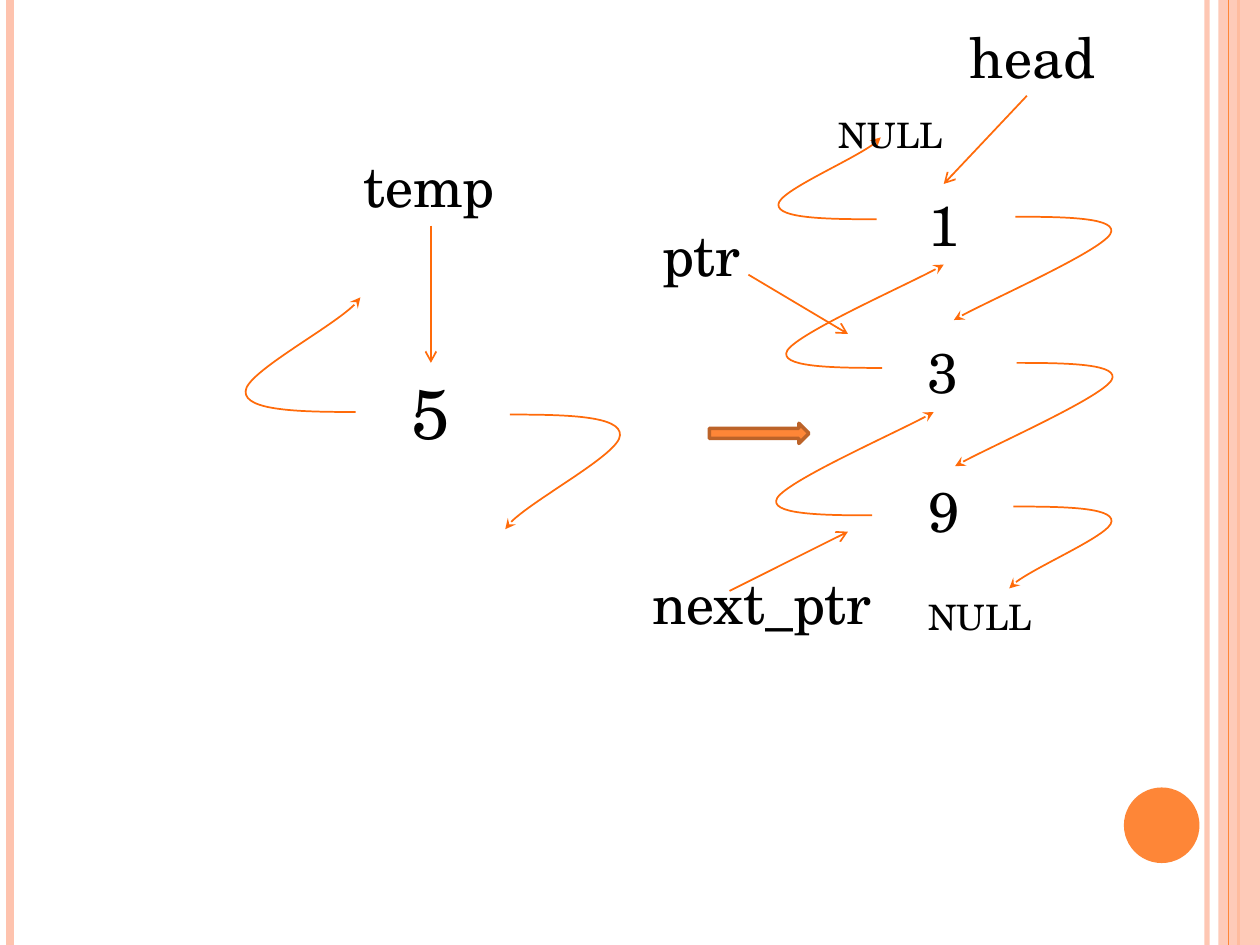
from pptx import Presentation
from pptx import util as u
from pptx.dml.color import RGBColor
from pptx.enum import shapes, text
from pptx.oxml import ns
from lxml import etree

# All lengths are cells of a grid of 100 columns by 75 rows.
COLS, ROWS = 100, 75
CELL = u.Inches(10) // COLS
FONT = "TeX Gyre Schola"
HEX = {"ink": "000000", "link": "FF6B0A", "main": "FE8637",
       "edge": "BC6329", "pale": "FEC3AE"}

# column, colour, width in points, opacity in percent
RAILS = [(95.8, "pale", 3, 93), (0.8, "pale", 4.5, 100), (98.3, "main", 1.5, 100)]
THIN = (97.5, "main", 0.75, 100)
BAND = (96.7, 0, 3.3, ROWS)
DOT = (89.2, 62.5, 6, 6)
BLOCK = (56.3, 33.6, 7.9, 1.6)

# words, box, size in points, wrap
LABELS = [
    ("temp", (27.9, 11.5, 12.6, 6.4), 32, False),
    ("head", (76, 1.3, 13.3, 6.4), 32, True),
    ("5", (31.7, 28.8, 5.1, 7.7), 40, False),
    ("1", (72.7, 14.6, 4.5, 6.4), 32, False),
    ("3", (72.6, 26.3, 4.5, 6.4), 32, False),
    ("9", (72.7, 37.3, 4.5, 6.4), 32, False),
    ("NULL", (65.6, 8.5, 11.8, 3.1), 20, True),
    ("NULL", (72.7, 46.8, 11.8, 3.1), 20, True),
    ("ptr", (51.6, 17, 8.3, 6.4), 32, False),
    ("next_ptr", (50.8, 44.6, 19.7, 6.4), 32, False),
]

# start and end of each pointer
ARROWS = [((34.2, 17.9), (34.2, 28.8)), ((81.5, 7.6), (74.9, 14.6)),
          ((59.4, 21.8), (67.3, 26.5)), ((57.9, 46.9), (67.3, 42.2))]

# Start point, then control and end points of two curves, as shares of the box
BENDS = {
    "hook": [(.04, 0), (.52, 0), (1, .01), (.99, .18), (.99, .34), (.09, .82), (0, 1)],
    "wide": [(.37, 0), (.68, 0), (1, .01), (.94, .17), (.87, .34), (.13, .87), (0, 1)],
}
# bend, box, turned half round
LINKS = [
    ("hook", (40.1, 32.9, 9.2, 9.1), False),
    ("hook", (19.4, 23.6, 9.2, 9.1), True),
    ("hook", (80.1, 40.2, 8.2, 6.5), False),
    ("hook", (61.7, 10.9, 8.2, 6.5), True),
    ("wide", (75.7, 17.2, 13.2, 8.2), False),
    ("wide", (75.8, 28.8, 13.2, 8.2), False),
    ("wide", (61.7, 21, 13.2, 8.2), True),
    ("wide", (60.9, 32.7, 13.2, 8.2), True),
]


def cells(vals):
    return [round(v * CELL) for v in vals]


def tint(form, name, alpha=100):
    form.solid()
    form.fore_color.rgb = RGBColor.from_string(HEX[name])
    if alpha < 100:
        clr = form._xPr.find(".//" + ns.qn("a:srgbClr"))
        etree.SubElement(clr, ns.qn("a:alpha"), val=str(alpha * 1000))


def stroke(line, name, width, alpha=100, tip=None):
    tint(line.fill, name, alpha)
    line.width = u.Pt(width)
    if tip:
        etree.SubElement(line._get_or_add_ln(), ns.qn("a:tailEnd"), type=tip)


def wire(tree, start, end, *style):
    con = tree.add_connector(shapes.MSO_CONNECTOR.STRAIGHT, *cells(start + end))
    stroke(con.line, *style)
    etree.SubElement(con._element.spPr, ns.qn("a:effectLst"))


def rail(tree, col, *style):
    wire(tree, (col, 0), (col, ROWS), *style)


def solid(tree, kind, box, name, alpha=100):
    shp = tree.add_shape(kind, *cells(box))
    shp.shadow.inherit = False
    tint(shp.fill, name, alpha)
    shp.line.fill.background()
    return shp


def curve(tree, bend, box, turned):
    """Draw a freeform whose segments are turned into cubic curves."""
    left, top, wide, high = box
    pts = [(1 - x, 1 - y) if turned else (x, y) for x, y in BENDS[bend]]
    pts = [cells((left + x * wide, top + y * high)) for x, y in pts]
    form = tree.build_freeform(*pts[0])
    form.add_line_segments(pts[1:], close=False)
    shp = form.convert_to_shape()
    shp.shadow.inherit = False
    shp.fill.background()
    stroke(shp.line, "link", 1, 100, "stealth")
    route = shp._element.find(".//" + ns.qn("a:path"))
    segs = route.findall(ns.qn("a:lnTo"))
    for i in range(0, len(segs), 3):
        cubic = etree.SubElement(route, ns.qn("a:cubicBezTo"))
        for seg in segs[i:i + 3]:
            cubic.append(seg[0])
            route.remove(seg)


def label(tree, words, box, size, wrap):
    frame = tree.add_textbox(*cells(box)).text_frame
    frame.word_wrap = wrap
    frame.auto_size = text.MSO_AUTO_SIZE.SHAPE_TO_FIT_TEXT
    run = frame.paragraphs[0].add_run()
    run.text = words
    for key, val in {"name": FONT, "size": u.Pt(size)}.items():
        setattr(run.font, key, val)
    run.font.color.rgb = RGBColor.from_string(HEX["ink"])


def main():
    deck = Presentation()
    deck.slide_width, deck.slide_height = COLS * CELL, ROWS * CELL
    tree = deck.slides.add_slide(deck.slide_layouts[6]).shapes
    kind = shapes.MSO_SHAPE
    for item in RAILS:
        rail(tree, *item)
    solid(tree, kind.RECTANGLE, BAND, "pale", 87)
    rail(tree, *THIN)
    solid(tree, kind.OVAL, DOT, "main")
    for item in LINKS:
        curve(tree, *item)
    for start, end in ARROWS:
        wire(tree, start, end, "link", 1, 100, "arrow")
    block = solid(tree, kind.RIGHT_ARROW, BLOCK, "main")
    stroke(block.line, "edge", 2)
    for item in LABELS:
        label(tree, *item)
    deck.save("out.pptx")


if __name__ == "__main__":
    main()
